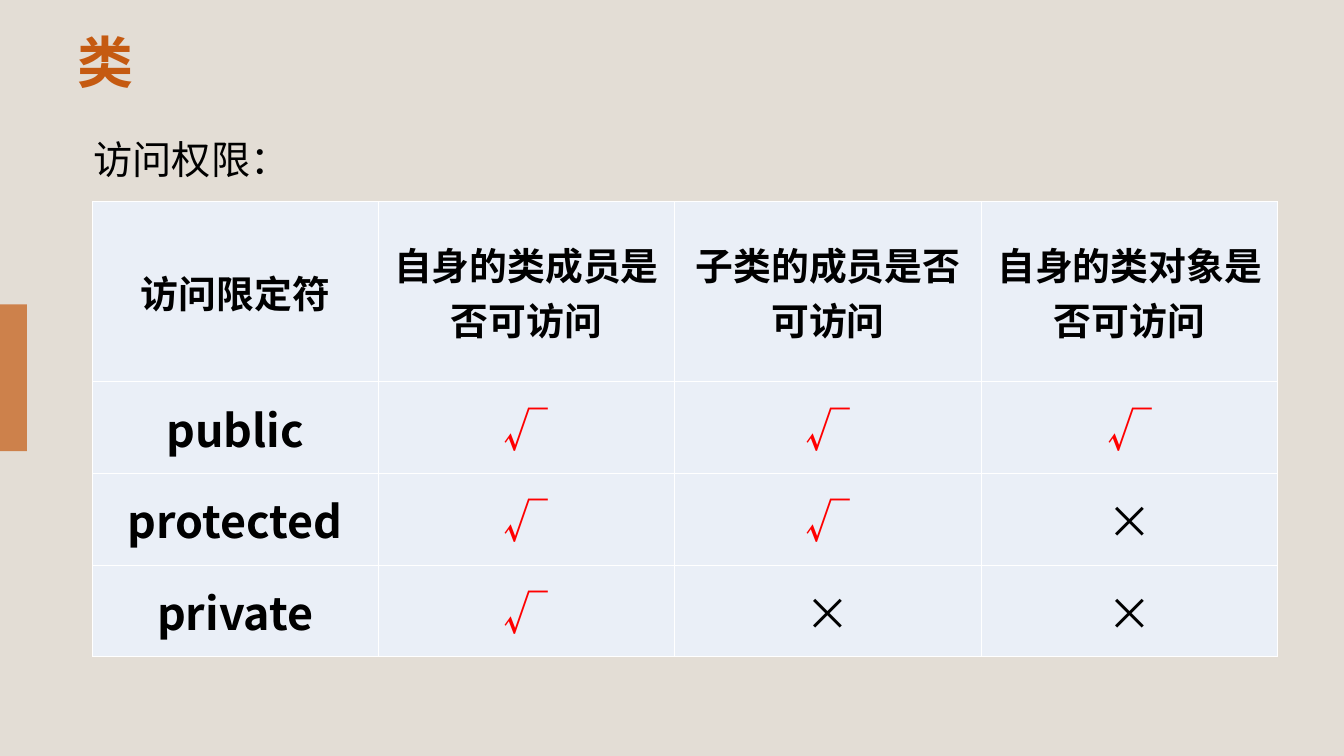
from lxml import etree
from pptx import Presentation
from pptx.dml.color import RGBColor
from pptx.enum.shapes import MSO_SHAPE
from pptx.enum.text import MSO_ANCHOR, PP_ALIGN
from pptx.oxml.ns import qn
from pptx.util import Cm, Pt

RECTANGLE = MSO_SHAPE.RECTANGLE
MIDDLE = MSO_ANCHOR.MIDDLE
CENTER, LEFT, JUSTIFY = PP_ALIGN.CENTER, PP_ALIGN.LEFT, PP_ALIGN.JUSTIFY

BEIGE = RGBColor(0xDC, 0xD5, 0xCB)
ORANGE = RGBColor(0xC5, 0x5A, 0x11)
PALE_BLUE = RGBColor(0xEA, 0xEF, 0xF7)
WHITE = RGBColor(0xFF, 0xFF, 0xFF)
BLACK = RGBColor(0, 0, 0)
RED = RGBColor(0xFF, 0, 0)

HEADING_FONT = "Noto Sans CJK SC"
BODY_FONT = "Calibri"

SLIDE_WIDTH, SLIDE_HEIGHT = Cm(33.87), Cm(19.05)
COLUMN_WIDTHS = [Cm(7.2), Cm(7.47), Cm(7.73), Cm(7.47)]
ROW_HEIGHTS = [Cm(4.54), Cm(2.31), Cm(2.31), Cm(2.31)]
ACCESS_ROWS = [
    ["访问限定符", "自身的类成员是否可访问", "子类的成员是否可访问", "自身的类对象是否可访问"],
    ["public", "√", "√", "√"],
    ["protected", "√", "√", "×"],
    ["private", "√", "×", "×"],
]


def add_run(paragraph, text, size, font_name, color, bold=False):
    """Add a run whose Latin and East Asian text share one font."""
    run = paragraph.add_run()
    run.text = text
    font = run.font
    font.size, font.bold, font.name = Pt(size), bold, font_name
    font.color.rgb = color
    east_asian = etree.SubElement(run._r.get_or_add_rPr(), qn("a:ea"))
    east_asian.set("typeface", font_name)


def add_translucent_rectangle(slide, left, top, width, height, color, opacity):
    """Add a borderless rectangle; opacity is a percentage."""
    shape = slide.shapes.add_shape(RECTANGLE, left, top, width, height)
    shape.shadow.inherit = False
    shape.line.fill.background()
    shape.fill.solid()
    shape.fill.fore_color.rgb = color
    color_element = shape.fill._xPr.find(qn("a:solidFill"))[0]
    etree.SubElement(color_element, qn("a:alpha")).set("val", str(opacity * 1000))


def add_text(slide, left, top, width, height, alignment, text, **style):
    frame = slide.shapes.add_textbox(left, top, width, height).text_frame
    frame.word_wrap = True
    paragraph = frame.paragraphs[0]
    paragraph.alignment = alignment
    add_run(paragraph, text, **style)


def add_borders(cell, color, width):
    properties = cell._tc.get_or_add_tcPr()
    for index, side in enumerate(("lnL", "lnR", "lnT", "lnB")):
        line = etree.Element(qn(f"a:{side}"), w=str(width))
        fill = etree.SubElement(line, qn("a:solidFill"))
        etree.SubElement(fill, qn("a:srgbClr")).set("val", str(color))
        properties.insert(index, line)


def fill_cell(cell, text, is_header):
    cell.fill.solid()
    cell.fill.fore_color.rgb = PALE_BLUE
    add_borders(cell, WHITE, Pt(1))
    cell.vertical_anchor = MIDDLE
    cell.margin_top = cell.margin_bottom = 0
    paragraph = cell.text_frame.paragraphs[0]
    paragraph.alignment = CENTER
    add_run(paragraph, text, 27 if is_header else 32, HEADING_FONT,
            color=RED if text == "√" else BLACK, bold=text not in ("√", "×"))


def add_access_table(slide, left, top):
    table = slide.shapes.add_table(
        len(ROW_HEIGHTS), len(COLUMN_WIDTHS), left, top,
        sum(COLUMN_WIDTHS), sum(ROW_HEIGHTS)).table
    for column, width in zip(table.columns, COLUMN_WIDTHS):
        column.width = width
    for row, height, texts in zip(table.rows, ROW_HEIGHTS, ACCESS_ROWS):
        row.height = height
        for cell, text in zip(row.cells, texts):
            fill_cell(cell, text, is_header=texts is ACCESS_ROWS[0])


def main():
    presentation = Presentation()
    presentation.slide_width = SLIDE_WIDTH
    presentation.slide_height = SLIDE_HEIGHT
    slide = presentation.slides.add_slide(presentation.slide_layouts[6])

    add_translucent_rectangle(slide, 0, 0, SLIDE_WIDTH, SLIDE_HEIGHT, BEIGE, 80)
    add_translucent_rectangle(slide, 0, Cm(7.67), Cm(0.68), Cm(3.7), ORANGE, 70)
    add_text(slide, Cm(1.7), Cm(0.56), Cm(2.59), Cm(1.96), JUSTIFY, "类",
             size=40, font_name=HEADING_FONT, color=ORANGE, bold=True)
    add_text(slide, Cm(2.11), Cm(3.28), Cm(29.77), Cm(1.45), LEFT, "访问权限：",
             size=28, font_name=BODY_FONT, color=BLACK)
    add_access_table(slide, Cm(2.33), Cm(5.08))
    presentation.save("out.pptx")


if __name__ == "__main__":
    main()
